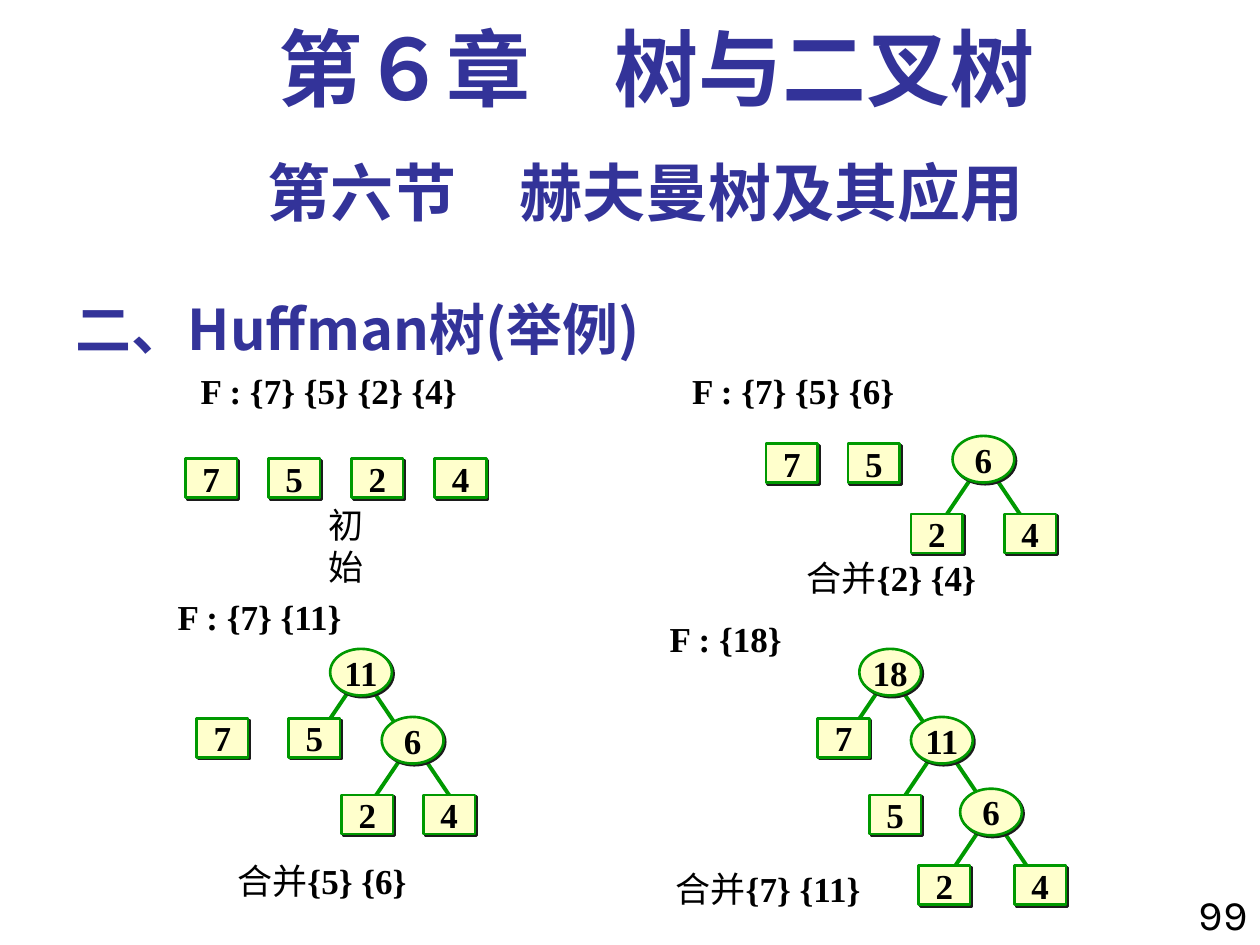
import pptx
import pptx.util
import pptx.dml.color
import pptx.enum.shapes
import pptx.enum.text
import pptx.oxml
import pptx.oxml.ns
from pptx.util import Inches

# ---- Content ----
SECTION = "二、Huffman树(举例)"
# text, (left, top, width, height), size name, font name, alignment, colour name
HEADINGS = [
    ("第６章　树与二叉树", (0.67, 0.17, 9.08, 0.83), "chapter", "serif", "CENTER", "heading", True),
    ("第六节　赫夫曼树及其应用", (0.5, 1.17, 9.25, 0.7), "subtitle", "sans", "CENTER", "heading", True),
    ("99", (9.33, 7, 0.67, 0.59), "page", "sans", "RIGHT", "text", False),
]
# Each label: left, top, width. Leaves and joins: key, left, top.
STAGES = [
    {"forest": ("F : {7} {5} {2} {4}", 1.49, 2.88, 2.24),
     "step": ("初始", "", 2.37, 4.11, 0.75),
     "leaves": [(key, 1.47 + 0.66 * i, 3.64) for i, key in enumerate("7524")],
     "joins": []},
    {"forest": ("F : {7} {5} {6}", 5.39, 2.88, 1.81),
     "step": ("合并", "{2} {4}", 6.27, 4.36, 1.61),
     "leaves": [("7", 6.08, 3.52), ("5", 6.73, 3.52), ("2", 7.23, 4.08), ("4", 7.97, 4.08)],
     "joins": [("6", 7.56, 3.46)]},
    {"forest": ("F : {7} {11} ", 1.3, 4.67, 1.59),
     "step": ("合并", "{5} {6}", 1.75, 6.77, 1.61),
     "leaves": [("7", 1.56, 5.7), ("5", 2.29, 5.7), ("2", 2.71, 6.31), ("4", 3.36, 6.31)],
     "joins": [("11", 2.62, 5.15), ("6", 3.03, 5.69)]},
    {"forest": ("F : {18} ", 5.21, 4.85, 1.17),
     "step": ("合并", "{7} {11}", 5.22, 6.83, 1.75),
     "leaves": [("7", 6.49, 5.7), ("5", 6.9, 6.31), ("2", 7.29, 6.87), ("4", 8.05, 6.87)],
     "joins": [("18", 6.82, 5.15), ("11", 7.23, 5.69), ("6", 7.62, 6.26)]},
]

# ---- Theme and geometry ----
THEME = {
    "color": {"heading": "333399", "text": "000000", "node": "FFFFCC", "edge": "009900", "shadow": "1C1C1C"},
    "size": {"chapter": 48, "subtitle": 36, "section": 32, "page": 24, "label": 20},
    "font": {"serif": "Times New Roman", "sans": "Karla", "cjk": "Noto Sans CJK SC"},
    "line": {"node": 1.5, "edge": 2.25},
}
LEAF = (0.41, 0.31)
JOIN = (0.49, 0.37)
LABEL_H = 0.44
EDGE_START = (0.08, 0.31)   # from the join's top centre
EDGE_RUN = (0.25, 0.37)
ALIGN = pptx.enum.text.PP_ALIGN
ANCHOR = pptx.enum.text.MSO_ANCHOR
SHAPE = pptx.enum.shapes.MSO_SHAPE


def rgb(name):
    return pptx.dml.color.RGBColor.from_string(THEME["color"][name])


def add_run(p, text, size="label", font="serif", color="text", bold=True):
    r = p.add_run()
    r.text = text
    r.font.size = pptx.util.Pt(THEME["size"][size])
    r.font.name = THEME["font"][font]
    r.font.bold = bold
    r.font.color.rgb = rgb(color)
    ea = pptx.oxml.parse_xml('<a:ea %s typeface="%s"/>' % (
        pptx.oxml.ns.nsdecls("a"), THEME["font"]["cjk"]))
    r.font._element.find(pptx.oxml.ns.qn("a:latin")).addnext(ea)


def add_label(shapes, left, top, width, runs):
    tb = shapes.add_textbox(*map(Inches, (left, top, width, LABEL_H)))
    tf = tb.text_frame
    tf.word_wrap = False
    tf.vertical_anchor = ANCHOR.MIDDLE
    p = tf.paragraphs[0]
    p.alignment = ALIGN.CENTER
    for text, bold in runs:
        add_run(p, text, bold=bold)


def add_node(shapes, kind, size, key, left, top):
    sp = shapes.add_shape(kind, *map(Inches, (left, top, *size)))
    sp.fill.solid()
    sp.fill.fore_color.rgb = rgb("node")
    sp.line.color.rgb = rgb("edge")
    sp.line.width = pptx.util.Pt(THEME["line"]["node"])
    sp.shadow.inherit = False
    effects = sp._element.spPr.find(pptx.oxml.ns.qn("a:effectLst"))
    effects.append(pptx.oxml.parse_xml(
        '<a:outerShdw %s dist="17780" dir="2700000" algn="ctr" rotWithShape="0">'
        '<a:srgbClr val="%s"/></a:outerShdw>' % (
            pptx.oxml.ns.nsdecls("a"), THEME["color"]["shadow"])))
    tf = sp.text_frame
    tf.word_wrap = False
    tf.vertical_anchor = ANCHOR.MIDDLE
    tf.margin_left = tf.margin_right = tf.margin_top = tf.margin_bottom = 0
    p = tf.paragraphs[0]
    p.alignment = ALIGN.CENTER
    add_run(p, key)


def add_edge(shapes, left, top, side):
    x = left + JOIN[0] / 2 + side * EDGE_START[0]
    y = top + EDGE_START[1]
    line = shapes.add_connector(
        pptx.enum.shapes.MSO_CONNECTOR.STRAIGHT,
        *map(Inches, (x, y, x + side * EDGE_RUN[0], y + EDGE_RUN[1])))
    line.line.color.rgb = rgb("edge")
    line.line.width = pptx.util.Pt(THEME["line"]["edge"])
    line._element.spPr.append(pptx.oxml.parse_xml(
        "<a:effectLst %s/>" % pptx.oxml.ns.nsdecls("a")))


def add_stage(s, stage):
    shapes = s.shapes.add_group_shape().shapes
    text, *place = stage["forest"]
    add_label(shapes, *place, [(text, True)])
    verb, sets, *place = stage["step"]
    add_label(shapes, *place, [(verb, False)] + ([(sets, True)] if sets else []))
    for _, left, top in stage["joins"]:
        for side in (-1, 1):
            add_edge(shapes, left, top, side)
    for leaf in stage["leaves"]:
        add_node(shapes, SHAPE.RECTANGLE, LEAF, *leaf)
    for join in stage["joins"]:
        add_node(shapes, SHAPE.OVAL, JOIN, *join)


def main():
    prs = pptx.Presentation()
    prs.slide_width, prs.slide_height = Inches(10), Inches(7.5)
    s = prs.slides.add_slide(prs.slide_layouts[5])

    # Section title
    title = s.shapes.title
    title.left, title.top, title.width, title.height = map(Inches, (0.5, 2.17, 6.25, 0.75))
    tf = title.text_frame
    tf.auto_size = pptx.enum.text.MSO_AUTO_SIZE.NONE
    tf.word_wrap = True
    tf.vertical_anchor = ANCHOR.BOTTOM
    p = tf.paragraphs[0]
    p.alignment = ALIGN.LEFT
    add_run(p, SECTION, "section", "cjk", "heading")

    # Chapter heading, subtitle and page number
    for text, box, size, font, align, color, bold in HEADINGS:
        tf = s.shapes.add_textbox(*map(Inches, box)).text_frame
        tf.word_wrap = True
        p = tf.paragraphs[0]
        p.alignment = ALIGN[align]
        if size == "chapter":
            p.line_spacing = 0.9
        add_run(p, text, size, font, color, bold)

    # Four stages of building the tree
    for stage in STAGES:
        add_stage(s, stage)

    prs.save("out.pptx")


if __name__ == "__main__":
    main()
